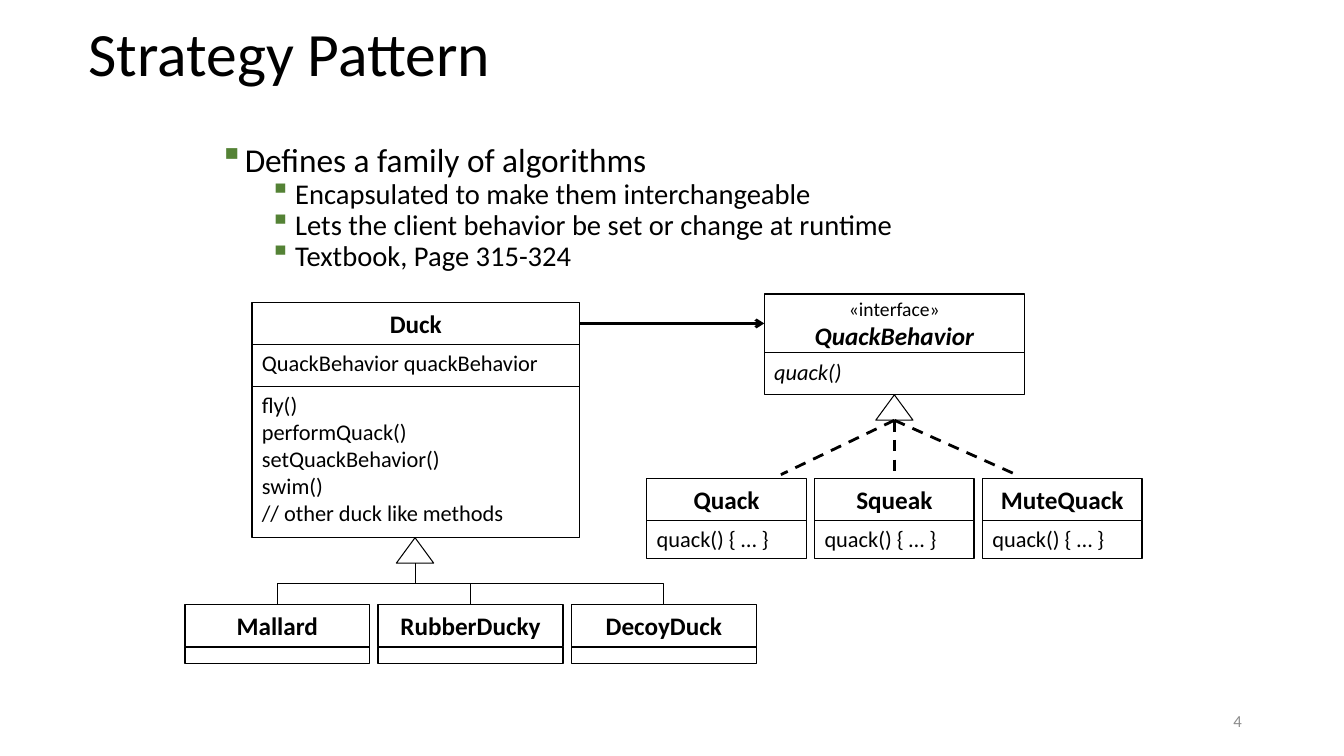
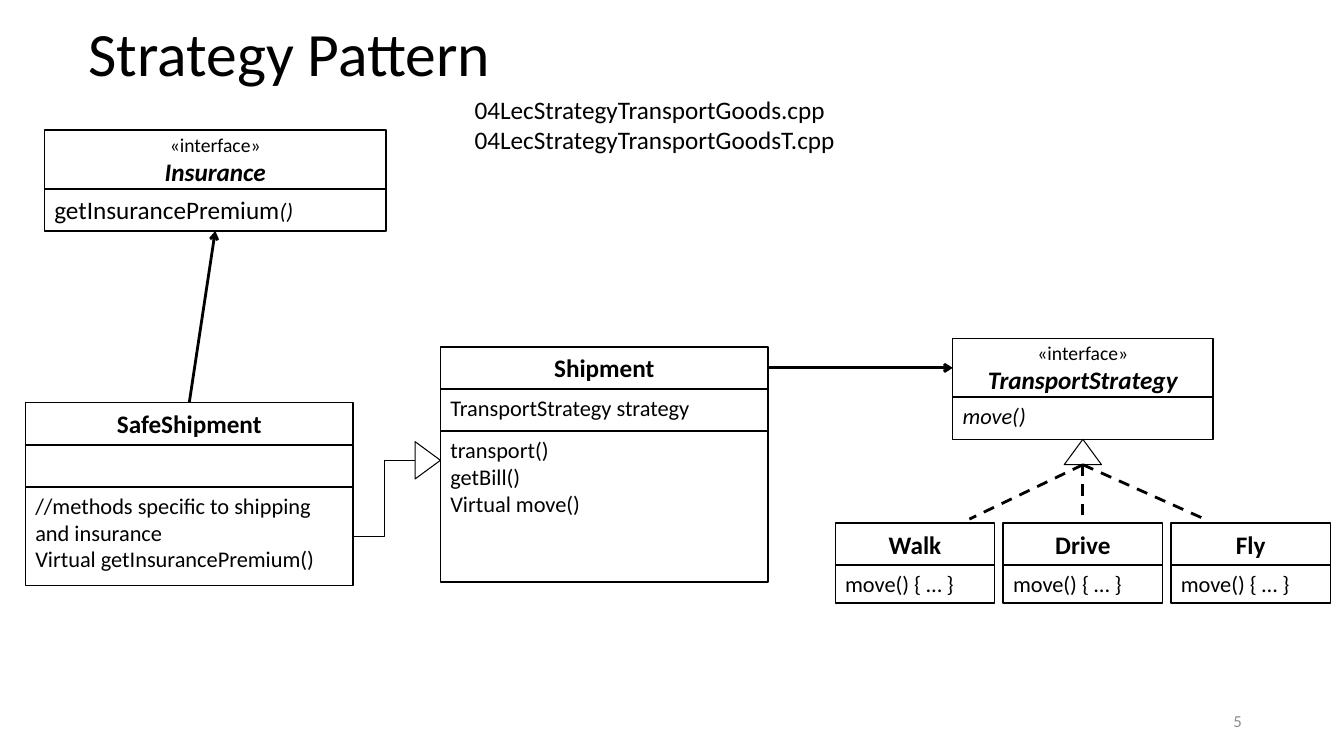
from lxml import etree
from pptx import Presentation
from pptx import util as u
from pptx.dml.color import RGBColor
from pptx.enum import dml, shapes, text
from pptx.oxml.ns import qn

Cm, Pt = u.Cm, u.Pt
COLORS = {"ink": "000000", "bullet": "548235", "page": "8C8C8C"}
FONT = "Calibri"
LEFT, CENTER, RIGHT = text.PP_ALIGN.LEFT, text.PP_ALIGN.CENTER, text.PP_ALIGN.RIGHT
TOP, MIDDLE = text.MSO_ANCHOR.TOP, text.MSO_ANCHOR.MIDDLE

# Heights of class compartments and the inheritance triangle, in cm
NAME_H, STEREOTYPE_H = 1.06, 1.48
TRIANGLE_W, TRIANGLE_H = 0.94, 0.64


def rgb(name):
    return RGBColor.from_string(COLORS[name])


def set_font(font, size, color="ink", bold=False, italic=False):
    font.name, font.size, font.bold, font.italic = FONT, Pt(size), bold, italic
    font.color.rgb = rgb(color)


def fill_text(frame, lines, size, color="ink", bold=False, italic=False,
              align=LEFT, anchor=TOP):
    frame.word_wrap = True
    frame.vertical_anchor = anchor
    for i, line in enumerate(lines):
        paragraph = frame.paragraphs[0] if i == 0 else frame.add_paragraph()
        paragraph.text = line
        paragraph.alignment = align
        set_font(paragraph.font, size, color, bold, italic)
    return frame.paragraphs


def text_area(slide, left, top, width, height, lines, size, **style):
    area = slide.shapes.add_textbox(Cm(left), Cm(top), Cm(width), Cm(height))
    return fill_text(area.text_frame, lines, size, **style)


# ---- Lines and outlined shapes ----
def outline(slide, kind, left, top, width, height, weight=1):
    shape = slide.shapes.add_shape(kind, Cm(left), Cm(top), Cm(width), Cm(height))
    shape.shadow.inherit = False
    shape.fill.background()
    shape.line.color.rgb = rgb("ink")
    shape.line.width = Pt(weight)
    return shape


def connect(slide, start, end, weight=2, kind=shapes.MSO_CONNECTOR.STRAIGHT,
            arrow=False, dashed=False):
    link = slide.shapes.add_connector(kind, *(Cm(v) for v in (*start, *end)))
    link.line.color.rgb = rgb("ink")
    link.line.width = Pt(weight)
    if dashed:
        link.line.dash_style = dml.MSO_LINE.DASH
    if arrow:
        etree.SubElement(link.line._get_or_add_ln(), qn("a:tailEnd"), type="arrow")
    etree.SubElement(link._element.spPr, qn("a:effectLst"))
    return link


def elbow(slide, start, end):
    return connect(slide, start, end, 0.75, shapes.MSO_CONNECTOR.ELBOW)


def elbow_down(slide, start, end):
    """Elbow that leaves its start vertically: a sideways one turned by 90 degrees."""
    (x0, y0), (x1, y1) = start, end
    mid_x, mid_y = (x0 + x1) / 2, (y0 + y1) / 2
    half_w, half_h = (x1 - x0) / 2, (y1 - y0) / 2
    link = elbow(slide, (mid_x - half_h, mid_y + half_w), (mid_x + half_h, mid_y - half_w))
    link._element.spPr.get_or_add_xfrm().set("rot", str(90 * 60000))


def triangle(slide, center_x, center_y, rotation=0):
    head = outline(slide, shapes.MSO_SHAPE.ISOSCELES_TRIANGLE, center_x - TRIANGLE_W / 2,
                   center_y - TRIANGLE_H / 2, TRIANGLE_W, TRIANGLE_H, 0.75)
    head.rotation = rotation


# ---- Class boxes ----
def compartment(slide, left, top, width, height, lines=(), size=16, **style):
    box = outline(slide, shapes.MSO_SHAPE.RECTANGLE, left, top, width, height)
    return fill_text(box.text_frame, lines, size, **style)


def class_box(slide, left, top, width, name, sections):
    """Name compartment, then one compartment per (height, lines)."""
    compartment(slide, left, top, width, NAME_H, [name], 18,
                bold=True, align=CENTER, anchor=MIDDLE)
    top += NAME_H
    for height, lines in sections:
        compartment(slide, left, top, width, height, lines)
        top += height


def interface_box(slide, left, top, width, name, method):
    heading = compartment(slide, left, top, width, STEREOTYPE_H, ["«interface»"], 14,
                          align=CENTER, anchor=MIDDLE)[0]
    heading.add_line_break()
    title = heading.add_run()
    title.text = name
    set_font(title.font, 18, bold=True, italic=True)
    return compartment(slide, left, top + STEREOTYPE_H, width, NAME_H, [method],
                       italic=True)[0]


def class_row(slide, left, top, width, names, sections, gap=0.21):
    """Equal classes side by side; returns their centres."""
    lefts = [left + i * (width + gap) for i in range(len(names))]
    for x, name in zip(lefts, names):
        class_box(slide, x, top, width, name, sections)
    return [x + width / 2 for x in lefts]


def strategy_diagram(slide, left, top, context, field, methods,
                     interface, method, strategies):
    """Context class that points to an interface with its implementations."""
    context_w, interface_w = 8.26, 6.56
    interface_x = left + 12.91
    class_box(slide, left, top + 0.21, context_w, context,
              [(NAME_H, [field]), (3.81, methods)])
    interface_box(slide, interface_x, top, interface_w, interface, method)
    arrow_y = top + STEREOTYPE_H / 2
    connect(slide, (left + context_w, arrow_y), (interface_x, arrow_y), arrow=True)

    # Implementations
    center = interface_x + interface_w / 2
    bottom = top + STEREOTYPE_H + NAME_H
    triangle(slide, center, bottom + TRIANGLE_H / 2)
    base = bottom + TRIANGLE_H
    for dx, dy in ((-2.86, 1.37), (0, 1.47), (3.07, 1.37)):
        connect(slide, (center, base), (center + dx, base + dy), dashed=True)
    class_row(slide, interface_x - 2.96, top + 4.65, 4.02, strategies,
              [(0.96, [f"{method} {{ … }}"])])


# ---- Slide parts ----
def new_slide(prs, page):
    slide = prs.slides.add_slide(prs.slide_layouts[6])
    title = text_area(slide, 1.98, 0, 28.78, 2.84, ["Strategy Pattern"], 44, anchor=MIDDLE)
    title[0].line_spacing = 0.9
    text_area(slide, 23.93, 17.65, 7.62, 1.02, [str(page)], 12,
              color="page", align=RIGHT, anchor=MIDDLE)
    return slide


def bullet_list(slide, left, top, width, height, items):
    lines = text_area(slide, left, top, width, height, [line for _, line in items], 20.4,
                      anchor=MIDDLE)
    for paragraph, (level, _) in zip(lines, items):
        paragraph.level = level
        paragraph.font.size = Pt(20.4 if level else 23.8)
        paragraph.line_spacing = 0.7
        paragraph.space_before = Pt(5 if level else 10)
        props = paragraph._p.get_or_add_pPr()
        props.set("marL", str(Cm(0.64 + 1.27 * level)))
        props.set("indent", str(Cm(-0.64)))
        bullet_color = etree.Element(qn("a:buClr"))
        etree.SubElement(bullet_color, qn("a:srgbClr"), val=COLORS["bullet"])
        mark = etree.Element(qn("a:buChar"), char="▪")
        # Bullet settings come before the default run properties
        for part in (bullet_color, mark):
            props.find(qn("a:defRPr")).addprevious(part)


def duck_subclasses(slide, left, top, root_x, root_y):
    centers = class_row(slide, left, top, 4.66, ["Mallard", "RubberDucky", "DecoyDuck"],
                        [(0.42, [])])
    triangle(slide, root_x, root_y + TRIANGLE_H / 2)
    for center in centers:
        elbow_down(slide, (root_x, root_y + TRIANGLE_H), (center, top))


def safe_shipment(slide, left, top, parent_x, parent_y):
    """Subclass of Shipment that uses the Insurance interface above it."""
    width = 8.26
    class_box(slide, left, top, width, "SafeShipment", [
        (NAME_H, []),
        (2.49, ["//methods specific to shipping and insurance",
                "Virtual getInsurancePremium()"])])
    triangle(slide, parent_x - TRIANGLE_H / 2, parent_y, 90)
    elbow(slide, (left + width, top + 3.36), (parent_x - TRIANGLE_H, parent_y))

    # Insurance interface
    insurance_x, insurance_y, insurance_w = left + 0.48, top - 6.87, 8.61
    method = interface_box(slide, insurance_x, insurance_y, insurance_w,
                           "Insurance", "getInsurancePremium")
    set_font(method.runs[0].font, 18)
    parentheses = method.add_run()
    parentheses.text = "()"
    set_font(parentheses.font, 16, italic=True)
    connect(slide, (left + width / 2, top),
            (insurance_x + insurance_w / 2, insurance_y + STEREOTYPE_H + NAME_H), arrow=True)


# ---- Slides ----
def duck_slide(prs):
    slide = new_slide(prs, 4)
    bullet_list(slide, 5.28, 3.61, 22.83, 3.38, [
        (0, "Defines a family of algorithms"),
        (1, "Encapsulated to make them interchangeable"),
        (1, "Lets the client behavior be set or change at runtime"),
        (1, "Textbook, Page 315-324")])
    strategy_diagram(
        slide, 6.35, 7.41, "Duck", "QuackBehavior quackBehavior",
        ["fly()", "performQuack()", "setQuackBehavior()", "swim()",
         "// other duck like methods"],
        "QuackBehavior", "quack()", ["Quack", "Squeak", "MuteQuack"])
    duck_subclasses(slide, 4.66, 15.24, 10.46, 13.55)


def shipment_slide(prs):
    slide = new_slide(prs, 5)
    strategy_diagram(
        slide, 11.1, 8.53, "Shipment", "TransportStrategy strategy",
        ["transport()", "getBill()", "Virtual move()"],
        "TransportStrategy", "move()", ["Walk", "Drive", "Fly"])
    safe_shipment(slide, 0.64, 10.15, 11.1, 11.6)
    text_area(slide, 11.71, 2.24, 19.41, 2.57,
              ["04LecStrategyTransportGoods.cpp", "04LecStrategyTransportGoodsT.cpp"], 18)


def main():
    prs = Presentation()
    prs.slide_width, prs.slide_height = Cm(33.87), Cm(19.05)
    duck_slide(prs)
    shipment_slide(prs)
    prs.save("out.pptx")


if __name__ == "__main__":
    main()
